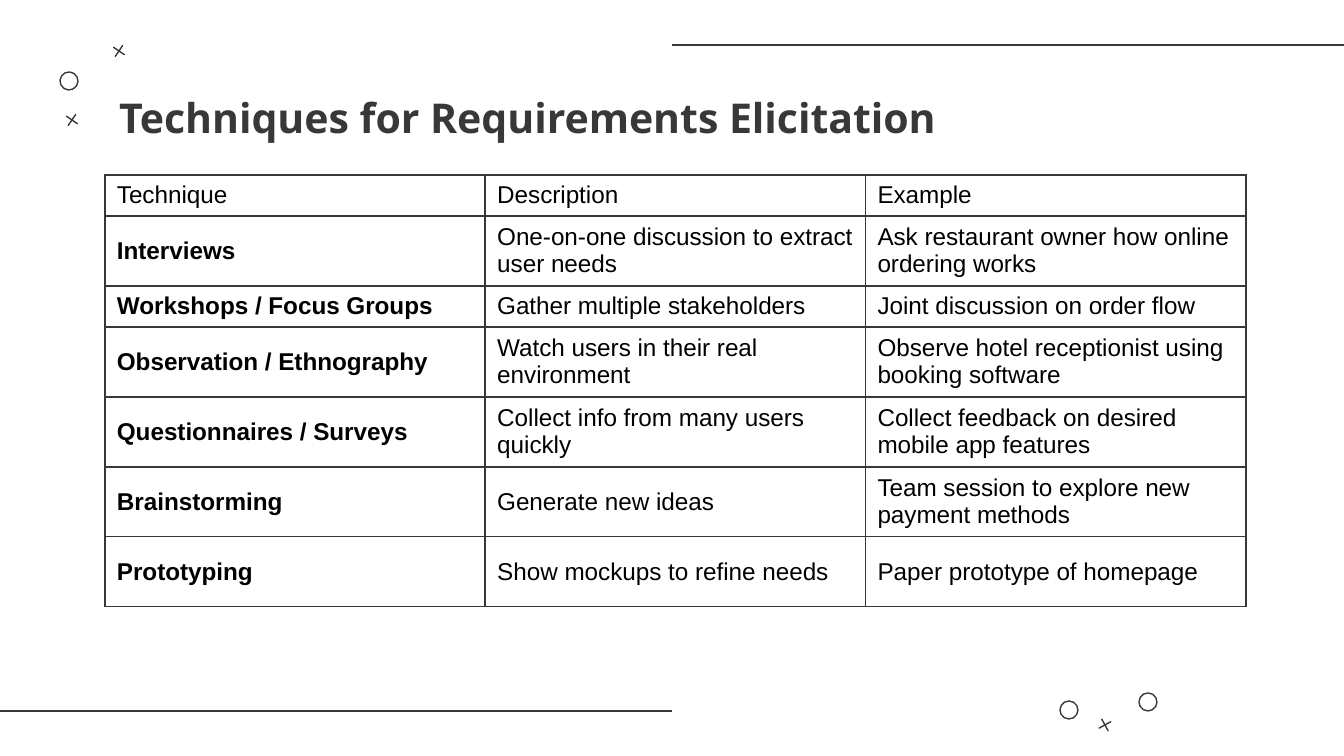
from lxml.etree import SubElement
from pptx import Presentation
from pptx.dml.color import RGBColor
from pptx.enum.shapes import MSO_CONNECTOR, MSO_SHAPE
from pptx.enum.text import MSO_ANCHOR, MSO_AUTO_SIZE, PP_ALIGN
from pptx.oxml.ns import qn
from pptx.util import Pt

SCALE = 9144000 / 1344
INK = "383838"


def px(value):
    return round(value * SCALE)


def color(value):
    return RGBColor.from_string(value)


presentation = Presentation()
presentation.slide_width = px(1344)
presentation.slide_height = px(756)
slide = presentation.slides.add_slide(presentation.slide_layouts[5])

for start, end, top in [(1344, 672, 45), (672, 0, 711)]:
    connector = slide.shapes.add_connector(
        MSO_CONNECTOR.STRAIGHT, px(start), px(top), px(end), px(top))
    connector.line.color.rgb = color(INK)
    connector.line.width = Pt(0.75)
    SubElement(connector._element.spPr, qn("a:effectLst"))

ornament_size = 18
ornaments = [
    (MSO_SHAPE.OVAL, 69, 81, 34.1),
    (MSO_SHAPE.MATH_PLUS, 72, 120, 34.1),
    (MSO_SHAPE.MATH_PLUS, 119, 51, 34.1),
    (MSO_SHAPE.OVAL, 1069, 710, 331.3),
    (MSO_SHAPE.MATH_PLUS, 1105, 725, 331.3),
    (MSO_SHAPE.OVAL, 1148, 702, 331.3),
]
for kind, center_x, center_y, rotation in ornaments:
    shape = slide.shapes.add_shape(
        kind, px(center_x - ornament_size / 2), px(center_y - ornament_size / 2),
        px(ornament_size), px(ornament_size))
    shape.rotation = rotation
    shape.shadow.inherit = False
    shape.fill.background()
    shape.line.color.rgb = color(INK)
    shape.line.width = Pt(0.75)
    if kind == MSO_SHAPE.MATH_PLUS:
        shape.adjustments[0] = 0

title = slide.shapes.title
title_box = {"left": 106, "top": 79, "width": 1226, "height": 85}
for name, value in title_box.items():
    setattr(title, name, px(value))
title_frame = title.text_frame
title_frame.text = "Techniques for Requirements Elicitation"
frame_format = {
    "word_wrap": True, "auto_size": MSO_AUTO_SIZE.NONE,
    "vertical_anchor": MSO_ANCHOR.TOP,
    "margin_left": px(13), "margin_right": px(13),
    "margin_top": px(13), "margin_bottom": px(13),
}
for name, value in frame_format.items():
    setattr(title_frame, name, value)
paragraph = title_frame.paragraphs[0]
paragraph.alignment = PP_ALIGN.LEFT
title_font = paragraph.runs[0].font
for name, value in {"name": "Open Sans", "size": Pt(22), "bold": True}.items():
    setattr(title_font, name, value)
title_font.color.rgb = color(INK)

techniques = [
    ("Technique", "Description", "Example"),
    ("Interviews", "One-on-one discussion to extract user needs",
     "Ask restaurant owner how online ordering works"),
    ("Workshops / Focus Groups", "Gather multiple stakeholders",
     "Joint discussion on order flow"),
    ("Observation / Ethnography", "Watch users in their real environment",
     "Observe hotel receptionist using booking software"),
    ("Questionnaires / Surveys", "Collect info from many users quickly",
     "Collect feedback on desired mobile app features"),
    ("Brainstorming", "Generate new ideas",
     "Team session to explore new payment methods"),
    ("Prototyping", "Show mockups to refine needs",
     "Paper prototype of homepage"),
]
row_heights = [41, 70, 41, 70, 70, 70, 70]
table_width = 1141
table = slide.shapes.add_table(
    len(techniques), 3, px(105), px(175),
    px(table_width), px(sum(row_heights))).table
table.first_row = False
table.horz_banding = False
for column in table.columns:
    column.width = px(table_width / 3)

cell_format = {
    "vertical_anchor": MSO_ANCHOR.MIDDLE,
    "margin_left": px(12), "margin_right": px(12),
    "margin_top": px(6), "margin_bottom": px(6),
}
for row_index, (texts, height) in enumerate(zip(techniques, row_heights)):
    table.rows[row_index].height = px(height)
    for column_index, text in enumerate(texts):
        cell = table.cell(row_index, column_index)
        cell.text = text
        for name, value in cell_format.items():
            setattr(cell, name, value)
        properties = cell._tc.get_or_add_tcPr()
        for edge in ("a:lnL", "a:lnR", "a:lnT", "a:lnB"):
            border = SubElement(properties, qn(edge), w=str(Pt(1)))
            border_fill = SubElement(border, qn("a:solidFill"))
            SubElement(border_fill, qn("a:srgbClr"), val=INK)
        cell.fill.background()
        font = cell.text_frame.paragraphs[0].runs[0].font
        is_bold = row_index > 0 and column_index == 0
        for name, value in {"name": "Arial", "size": Pt(13), "bold": is_bold}.items():
            setattr(font, name, value)
        font.color.rgb = color("000000")

presentation.save("out.pptx")
